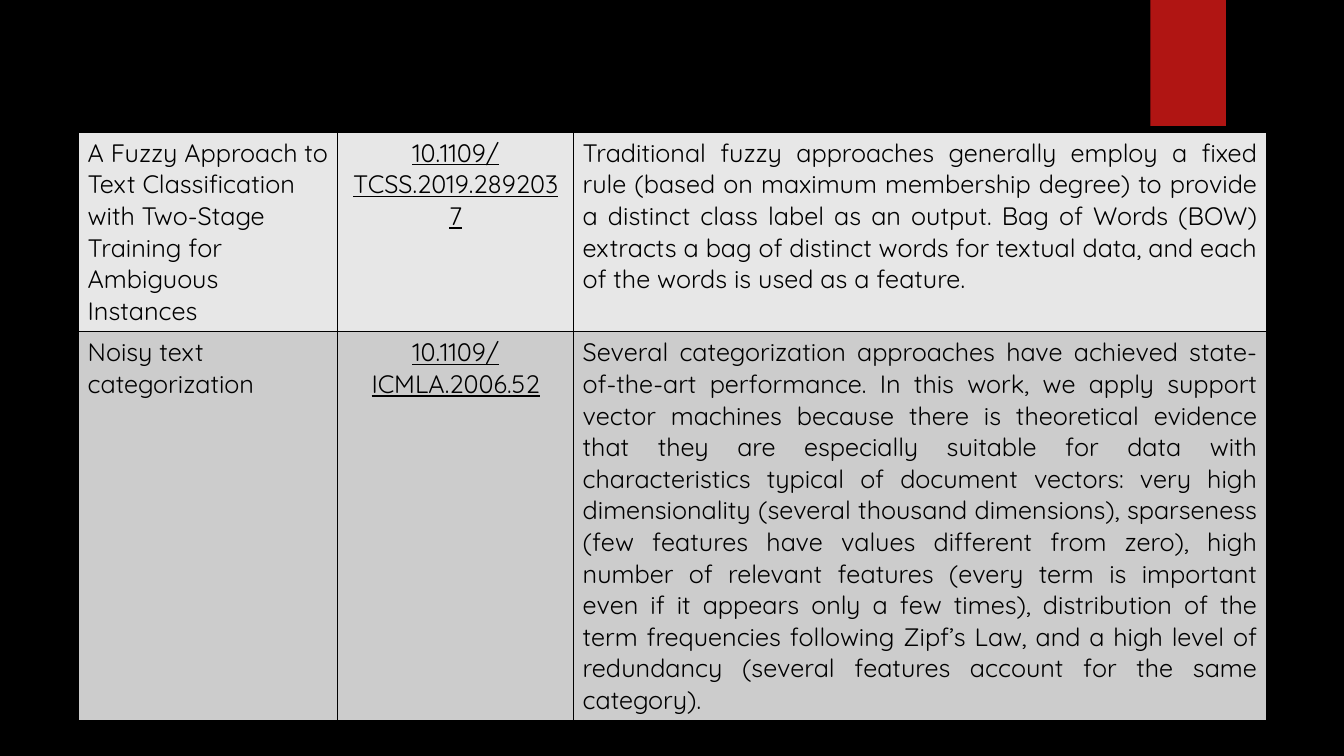
"""Build a slide with a literature review table on a black background."""
from dataclasses import dataclass

from lxml.etree import SubElement
from pptx import Presentation
from pptx.dml.color import RGBColor
from pptx.enum.shapes import MSO_SHAPE
from pptx.enum.text import PP_ALIGN
from pptx.oxml.ns import qn
from pptx.slide import Slide
from pptx.table import _Cell
from pptx.util import Inches, Pt


@dataclass(frozen=True)
class Theme:
    background: RGBColor = RGBColor(0x00, 0x00, 0x00)
    accent: RGBColor = RGBColor(0xB0, 0x15, 0x13)
    text: RGBColor = RGBColor(0x00, 0x00, 0x00)
    border: RGBColor = RGBColor(0x00, 0x00, 0x00)
    border_width: Pt = Pt(1)
    font: str = "Quicksand"
    text_size: Pt = Pt(18)


@dataclass(frozen=True)
class Column:
    width: float
    alignment: PP_ALIGN
    underline: bool = False


@dataclass(frozen=True)
class Paper:
    title: str
    identifier: str
    summary: str
    height: float
    fill: RGBColor


THEME = Theme()

COLUMNS = [
    Column(2.57, PP_ALIGN.LEFT),
    Column(2.34, PP_ALIGN.CENTER, underline=True),
    Column(6.87, PP_ALIGN.JUSTIFY),
]

PAPERS = [
    Paper(
        "A Fuzzy Approach to Text Classification with Two-Stage Training "
        "for Ambiguous Instances",
        "10.1109/TCSS.2019.2892037",
        "Traditional fuzzy approaches generally employ a fixed rule (based on "
        "maximum membership degree) to provide a distinct class label as an "
        "output. Bag of Words (BOW) extracts a bag of distinct words for textual "
        "data, and each of the words is used as a feature. ",
        1.91,
        RGBColor(0xE7, 0xE7, 0xE7),
    ),
    Paper(
        "Noisy text categorization",
        "10.1109/ICMLA.2006.52",
        "Several categorization approaches have achieved state-of-the-art "
        "performance. In this work, we apply support vector machines because "
        "there is theoretical evidence that they are especially suitable for "
        "data with characteristics typical of document vectors: very high "
        "dimensionality (several thousand dimensions), sparseness (few features "
        "have values different from zero), high number of relevant features "
        "(every term is important even if it appears only a few times), "
        "distribution of the term frequencies following Zipf’s Law, and a high "
        "level of redundancy (several features account for the same category).",
        3.72,
        RGBColor(0xCC, 0xCC, 0xCC),
    ),
]


def add_borders(cell: _Cell) -> None:
    properties = cell._tc.get_or_add_tcPr()
    for side in ("a:lnL", "a:lnR", "a:lnT", "a:lnB"):
        line = SubElement(properties, qn(side), w=str(THEME.border_width))
        fill = SubElement(line, qn("a:solidFill"))
        SubElement(fill, qn("a:srgbClr"), val=str(THEME.border))


def format_cell(cell: _Cell, text: str, column: Column, fill: RGBColor) -> None:
    add_borders(cell)
    cell.fill.solid()
    cell.fill.fore_color.rgb = fill
    cell.margin_left = cell.margin_right = Inches(0.09)
    cell.margin_top = cell.margin_bottom = Inches(0.05)
    cell.text_frame.text = text
    paragraph = cell.text_frame.paragraphs[0]
    paragraph.alignment = column.alignment
    font = paragraph.runs[0].font
    font.name = THEME.font
    font.size = THEME.text_size
    font.color.rgb = THEME.text
    font.bold = False
    font.underline = column.underline


def add_accent_tab(slide: Slide) -> None:
    shape = slide.shapes.add_shape(
        MSO_SHAPE.RECTANGLE, Inches(11.41), Inches(0), Inches(0.75), Inches(1.25)
    )
    shape.shadow.inherit = False
    shape.fill.solid()
    shape.fill.fore_color.rgb = THEME.accent
    shape.line.fill.background()


def add_paper_table(slide: Slide) -> None:
    width = sum(column.width for column in COLUMNS)
    height = sum(paper.height for paper in PAPERS)
    table = slide.shapes.add_table(
        len(PAPERS), len(COLUMNS),
        Inches(0.78), Inches(1.31), Inches(width), Inches(height),
    ).table
    table.first_row = False
    table.horz_banding = False
    for table_column, column in zip(table.columns, COLUMNS):
        table_column.width = Inches(column.width)
    for row, paper in zip(table.rows, PAPERS):
        row.height = Inches(paper.height)
        texts = (paper.title, paper.identifier, paper.summary)
        for cell, text, column in zip(row.cells, texts, COLUMNS):
            format_cell(cell, text, column, paper.fill)


def main() -> None:
    presentation = Presentation()
    presentation.slide_width = Inches(13.33)
    presentation.slide_height = Inches(7.5)
    slide = presentation.slides.add_slide(presentation.slide_layouts[6])
    slide.background.fill.solid()
    slide.background.fill.fore_color.rgb = THEME.background
    add_accent_tab(slide)
    add_paper_table(slide)
    presentation.save("out.pptx")


if __name__ == "__main__":
    main()
